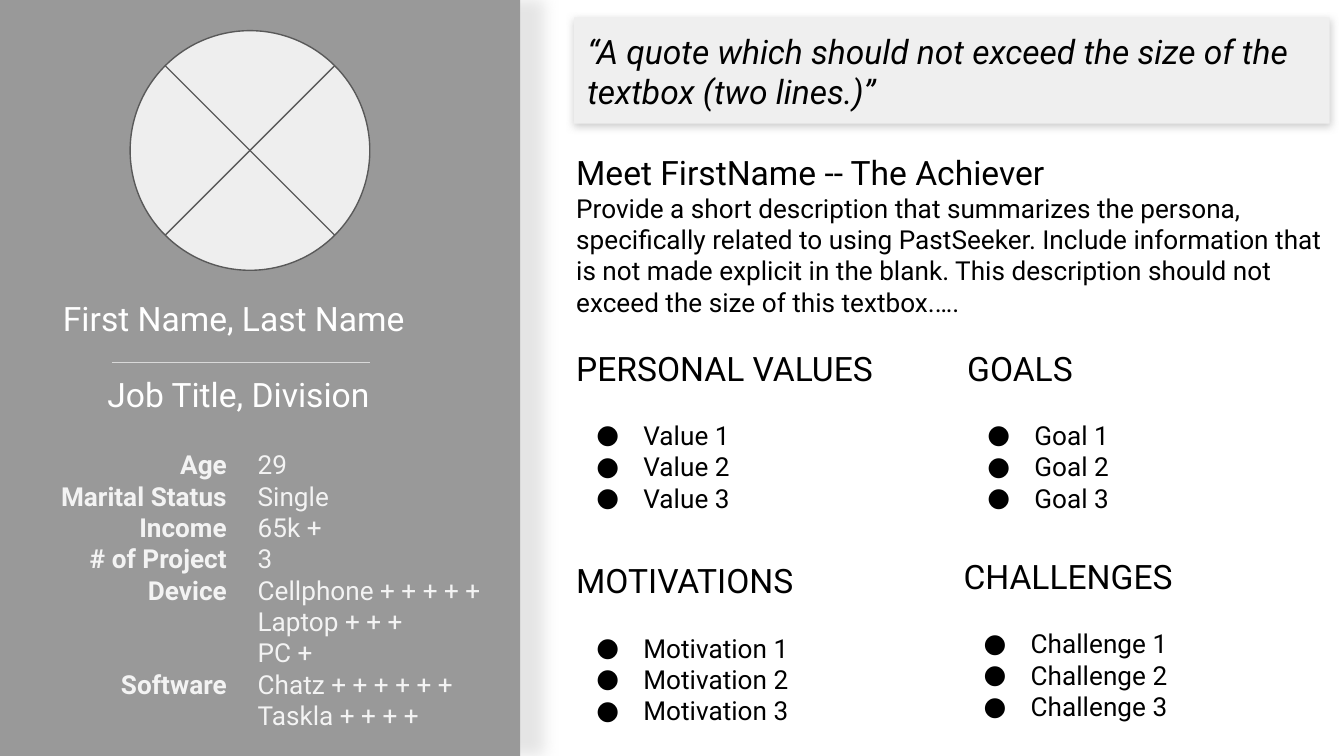
import collections

import lxml.etree
import pptx
import pptx.dml.color
import pptx.enum.shapes
import pptx.enum.text
import pptx.oxml.ns
import pptx.util

Cm = pptx.util.Cm
Pt = pptx.util.Pt
Shape = pptx.enum.shapes.MSO_SHAPE
Align = pptx.enum.text.PP_ALIGN
qn = pptx.oxml.ns.qn
Box = collections.namedtuple("Box", "left top width height")

LINE_PITCH = 16.8
HEADING = {"name": "Roboto", "size": Pt(18), "bold": False}
BODY = {"name": "Roboto", "size": Pt(14), "bold": False}

FACTS = [
    ("Age", ["29"]),
    ("Marital Status", ["Single"]),
    ("Income", ["65k +"]),
    ("# of Project", ["3"]),
    ("Device", ["Cellphone + + + + +", "Laptop + + +", "PC +"]),
    ("Software", ["Chatz + + + + + +", "Taskla + + + +"]),
]
TRAITS = [
    ("PERSONAL VALUES", "Value", 10.64, 6.32),
    ("GOALS", "Goal", 18.03, 6.32),
    ("MOTIVATIONS", "Motivation", 10.64, 10.34),
    ("CHALLENGES", "Challenge", 17.96, 10.26),
]
DESCRIPTION = (
    "Provide a short description that summarizes the persona, specifically related to "
    "using PastSeeker. Include information that is not made explicit in the blank. "
    "This description should not exceed the size of this textbox.…."
)


def color(value):
    return pptx.dml.color.RGBColor.from_string(value)


def emu(box):
    return [Cm(length) for length in box]


def inside(box, left, top, width, height):
    """Box given by its offset from the corner of another box."""
    return Box(box.left + left, box.top + top, width, height)


def prepare_frame(frame):
    settings = {
        "word_wrap": True,
        "auto_size": pptx.enum.text.MSO_AUTO_SIZE.NONE,
        "vertical_anchor": pptx.enum.text.MSO_ANCHOR.TOP,
    }
    for side in ("left", "top", "right", "bottom"):
        settings["margin_" + side] = Cm(0.25)
    for name, value in settings.items():
        setattr(frame, name, value)


def write(frame, lines, text_color):
    """Fill a frame with (text, font format, paragraph format) lines."""
    prepare_frame(frame)
    for index, (text, font_format, paragraph_format) in enumerate(lines):
        paragraph = frame.add_paragraph() if index else frame.paragraphs[0]
        paragraph.alignment = Align.LEFT
        for name, value in paragraph_format.items():
            setattr(paragraph, name, value)
        run = paragraph.add_run()
        run.text = text
        run.font.color.rgb = color(text_color)
        for name, value in font_format.items():
            setattr(run.font, name, value)


def add_text(slide, box, lines, text_color="000000"):
    frame = slide.shapes.add_textbox(*emu(box)).text_frame
    write(frame, lines, text_color)
    return frame


def add_panel(slide, kind, box, fill, line=None):
    shape = slide.shapes.add_shape(kind, *emu(box))
    shape.shadow.inherit = False
    shape.fill.solid()
    shape.fill.fore_color.rgb = color(fill)
    if line:
        shape.line.color.rgb = color(line)
        shape.line.width = Pt(0.75)
    else:
        shape.line.fill.background()
    return shape


def add_shadow(shape, shade, blur, distance, degrees):
    effects = shape.element.spPr.find(qn("a:effectLst"))
    shadow = lxml.etree.SubElement(
        effects, qn("a:outerShdw"), blurRad=str(Pt(blur)), dist=str(Pt(distance)),
        dir=str(degrees * 60000), algn="bl", rotWithShape="0")
    tint = lxml.etree.SubElement(shadow, qn("a:srgbClr"), val=shade)
    lxml.etree.SubElement(tint, qn("a:alpha"), val="50000")


def add_bullet(paragraph):
    properties = paragraph._p.get_or_add_pPr()
    properties.set("marL", str(Cm(1.27)))
    properties.set("indent", str(Cm(-0.89)))
    bullet_color = lxml.etree.SubElement(properties, qn("a:buClr"))
    lxml.etree.SubElement(bullet_color, qn("a:srgbClr"), val="000000")
    lxml.etree.SubElement(properties, qn("a:buFont"), typeface="Roboto")
    lxml.etree.SubElement(properties, qn("a:buChar"), char="●")


def place_title(slide, box, text):
    title = slide.shapes.title
    for name, value in zip(Box._fields, emu(box)):
        setattr(title, name, value)
    write(title.text_frame, [(text, HEADING, {})], "FFFFFF")
    slide.shapes.element.append(title.element)  # bring in front of the sidebar


def add_divider(slide, left, top, width):
    divider = slide.shapes.add_connector(
        pptx.enum.shapes.MSO_CONNECTOR.STRAIGHT,
        Cm(left), Cm(top), Cm(left + width), Cm(top))
    divider.line.color.rgb = color("D9D9D9")
    divider.line.width = Pt(0.75)
    lxml.etree.SubElement(divider.element.spPr, qn("a:effectLst"))


def add_facts(slide, box):
    """Right-aligned labels beside values; a label leaves room for all its values."""
    label_width = 4.11
    gap = 0.08
    labels = []
    values = []
    for label, entries in FACTS:
        space = Pt(LINE_PITCH * (len(entries) - 1))
        labels.append((label, {**BODY, "bold": True},
                       {"alignment": Align.RIGHT, "space_after": space}))
        values += [(entry, BODY, {}) for entry in entries]
    add_text(slide, inside(box, 0, 0, label_width, box.height), labels, "F3F3F3")
    value_left = label_width + gap
    add_text(slide, inside(box, value_left, 0, box.width - value_left, box.height),
             values, "F3F3F3")


def add_sidebar(slide, box):
    panel = add_panel(slide, Shape.RECTANGLE, box, "999999")
    add_shadow(panel, "CCCCCC", 7.9, 12.8, 0)
    add_panel(slide, Shape.FLOWCHART_SUMMING_JUNCTION,
              inside(box, 2.46, 0.58, 4.53, 4.53), "EEEEEE", "595959")
    place_title(slide, inside(box, 0.94, 5.38, 7.14, 1.17), "First Name, Last Name")
    add_divider(slide, box.left + 2.11, box.top + 6.85, 4.88)
    add_text(slide, inside(box, 1.78, 6.81, 5.92, 1.17),
             [("Job Title, Division", HEADING, {})], "FFFFFF")
    add_facts(slide, inside(box, 0.43, 8.23, 9.07, 5.59))


def add_quote(slide, box):
    panel = add_panel(slide, Shape.RECTANGLE, box, "EFEFEF")
    add_shadow(panel, "999999", 4.5, 1.5, 90)
    quote = "“A quote which should not exceed the size of the textbox (two lines.)”"
    write(panel.text_frame, [(quote, {**HEADING, "italic": True}, {})], "000000")


def add_description(slide, box):
    add_text(slide, box, [("Meet FirstName -- The Achiever", HEADING, {}),
                          (DESCRIPTION, BODY, {})])


def add_trait(slide, box, heading, item):
    lines = [(heading, HEADING, {"space_after": Pt(LINE_PITCH)})]
    lines += [(f"{item} {number}", BODY, {}) for number in range(1, 4)]
    frame = add_text(slide, box, lines)
    for paragraph in frame.paragraphs[1:]:
        add_bullet(paragraph)


def main():
    presentation = pptx.Presentation()
    presentation.slide_width = Cm(25.4)
    presentation.slide_height = Cm(14.29)
    slide = presentation.slides.add_slide(
        presentation.slide_layouts.get_by_name("Title Only"))
    add_sidebar(slide, Box(0, 0, 9.83, 14.29))
    add_quote(slide, Box(10.85, 0.33, 14.28, 2.01))
    add_description(slide, Box(10.64, 2.62, 14.76, 3.7))
    for heading, item, left, top in TRAITS:
        add_trait(slide, Box(left, top, 7.14, 3.7), heading, item)
    presentation.save("out.pptx")


if __name__ == "__main__":
    main()
